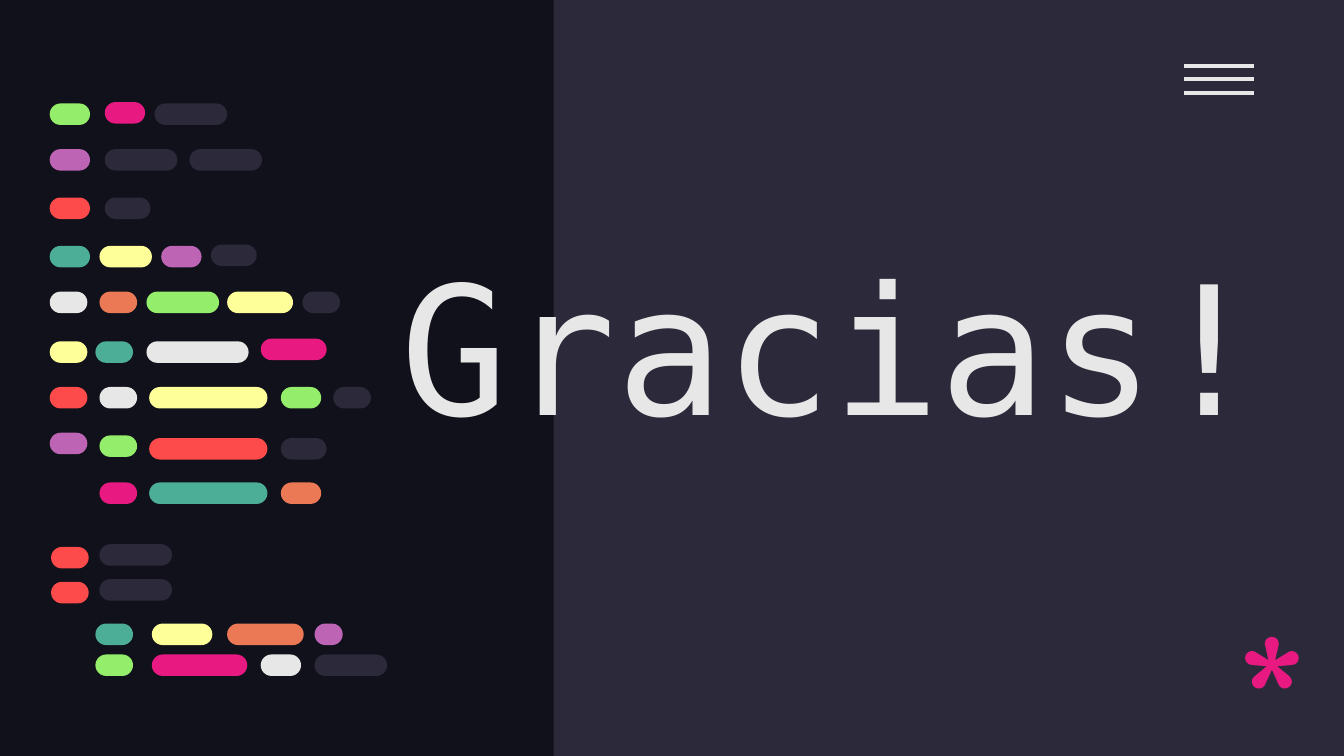
import pptx
import pptx.util
import pptx.dml.color
import pptx.enum.shapes
import pptx.enum.text
import pptx.oxml
import pptx.oxml.ns

Inches, Pt = pptx.util.Inches, pptx.util.Pt
RGBColor = pptx.dml.color.RGBColor
SHAPE = pptx.enum.shapes.MSO_SHAPE
ANCHOR = pptx.enum.text.MSO_ANCHOR

NIGHT = RGBColor(0x10, 0x11, 0x1A)
SLATE = RGBColor(0x2C, 0x29, 0x3A)
WHITE = RGBColor(0xE7, 0xE7, 0xE7)
PINK = RGBColor(0xE8, 0x1A, 0x81)
GREEN = RGBColor(0x94, 0xEE, 0x6B)
PURPLE = RGBColor(0xBD, 0x64, 0xB5)
RED = RGBColor(0xFD, 0x4A, 0x4A)
TEAL = RGBColor(0x4C, 0xAE, 0x97)
YELLOW = RGBColor(0xFF, 0xFF, 0x99)
ORANGE = RGBColor(0xEC, 0x79, 0x55)

SLIDE_WIDTH = 10
SLIDE_HEIGHT = SLIDE_WIDTH * 9 / 16
PILL_HEIGHT = 0.16
# Code lines: top, then pills as (left, width, colour, optional vertical shift)
CODE_LINES = [
    (0.01, [(0, 0.3, GREEN), (0.41, 0.3, PINK, -0.01), (0.78, 0.54, SLATE)]),
    (0.35, [(0, 0.3, PURPLE), (0.41, 0.54, SLATE), (1.04, 0.54, SLATE)]),
    (0.71, [(0, 0.3, RED), (0.41, 0.34, SLATE)]),
    (1.07, [(0, 0.3, TEAL), (0.37, 0.39, YELLOW), (0.83, 0.3, PURPLE),
            (1.2, 0.34, SLATE, -0.01)]),
    (1.41, [(0, 0.28, WHITE), (0.37, 0.28, ORANGE), (0.72, 0.54, GREEN),
            (1.32, 0.49, YELLOW), (1.88, 0.28, SLATE)]),
    (1.78, [(0, 0.28, YELLOW), (0.34, 0.28, TEAL), (0.72, 0.76, WHITE),
            (1.57, 0.49, PINK, -0.02)]),
    (2.12, [(0, 0.28, RED), (0.37, 0.28, WHITE), (0.74, 0.88, YELLOW),
            (1.72, 0.3, GREEN), (2.11, 0.28, SLATE)]),
    (2.5, [(0, 0.28, PURPLE, -0.04), (0.37, 0.28, GREEN, -0.02),
           (0.74, 0.88, RED), (1.72, 0.34, SLATE)]),
    (2.83, [(0.37, 0.28, PINK), (0.74, 0.88, TEAL), (1.72, 0.3, ORANGE)]),
    (3.29, [(0.01, 0.28, RED, 0.02), (0.37, 0.54, SLATE)]),
    (3.55, [(0.01, 0.28, RED, 0.02), (0.37, 0.54, SLATE)]),
    (3.88, [(0.34, 0.28, TEAL), (0.76, 0.45, YELLOW), (1.32, 0.57, ORANGE),
            (1.97, 0.21, PURPLE)]),
    (4.11, [(0.34, 0.28, GREEN), (0.76, 0.71, PINK), (1.57, 0.3, WHITE),
            (1.97, 0.54, SLATE)]),
]


def add_block(shapes, kind, left, top, width, height, color):
    sp = shapes.add_shape(kind, Inches(left), Inches(top),
                          Inches(width), Inches(height))
    sp.shadow.inherit = False
    sp.fill.solid()
    sp.fill.fore_color.rgb = color
    sp.line.fill.background()
    return sp


def add_menu_icon(s, left, top, width, height):
    """Three evenly spaced bars in one group."""
    group = s.shapes.add_group_shape()
    for i in range(3):
        y = Inches(top + i * height / 2)
        bar = group.shapes.add_connector(
            pptx.enum.shapes.MSO_CONNECTOR.STRAIGHT,
            Inches(left), y, Inches(left + width), y)
        bar.line.color.rgb = WHITE
        bar.line.width = Pt(2.25)
        bar._element.spPr.append(pptx.oxml.parse_xml(
            "<a:effectLst %s/>" % pptx.oxml.ns.nsdecls("a")))


def set_text(sp, text, font, color, anchor):
    tf = sp.text_frame
    tf.text = text
    tf.word_wrap = True
    tf.auto_size = pptx.enum.text.MSO_AUTO_SIZE.NONE
    tf.vertical_anchor = anchor
    tf.margin_left = tf.margin_right = Inches(0.1)
    tf.margin_top = tf.margin_bottom = Inches(0.1)
    p = tf.paragraphs[0]
    p.alignment = pptx.enum.text.PP_ALIGN.LEFT
    r = p.runs[0]
    r.font.name = font
    r.font.size = Pt(96)
    r.font.color.rgb = color


def add_title(s, left, top, width, height):
    title = s.shapes.title
    title.left, title.top = Inches(left), Inches(top)
    title.width, title.height = Inches(width), Inches(height)
    set_text(title, "Gracias!", "DejaVu Sans Mono", WHITE, ANCHOR.BOTTOM)
    # Bring the title in front of the panel
    s.shapes._spTree.append(title._element)


def add_asterisk(s, left, top, width, height):
    box = s.shapes.add_textbox(Inches(left), Inches(top),
                               Inches(width), Inches(height))
    set_text(box, "*", "Comfortaa", PINK, ANCHOR.TOP)


def add_code_lines(s, left, top):
    """Rows of coloured pills that stand for lines of code."""
    group = s.shapes.add_group_shape()
    for row_top, pills in CODE_LINES:
        for x, width, color, *shift in pills:
            pill = add_block(group.shapes, SHAPE.ROUNDED_RECTANGLE, left + x,
                             top + row_top + sum(shift), width, PILL_HEIGHT, color)
            pill.adjustments[0] = 0.5


def main():
    prs = pptx.Presentation()
    prs.slide_width = Inches(SLIDE_WIDTH)
    prs.slide_height = Inches(SLIDE_HEIGHT)
    s = prs.slides.add_slide(prs.slide_layouts[5])

    # Background and right-hand panel
    s.background.fill.solid()
    s.background.fill.fore_color.rgb = NIGHT
    add_block(s.shapes, SHAPE.RECTANGLE, 4.12, 0, 5.88, SLIDE_HEIGHT, SLATE)

    # Content
    add_menu_icon(s, 8.81, 0.49, 0.52, 0.2)
    add_title(s, 2.88, 1.31, 6.8, 2.15)
    add_asterisk(s, 9.11, 4.35, 0.57, 0.87)
    add_code_lines(s, 0.37, 0.76)

    prs.save("out.pptx")


if __name__ == "__main__":
    main()
